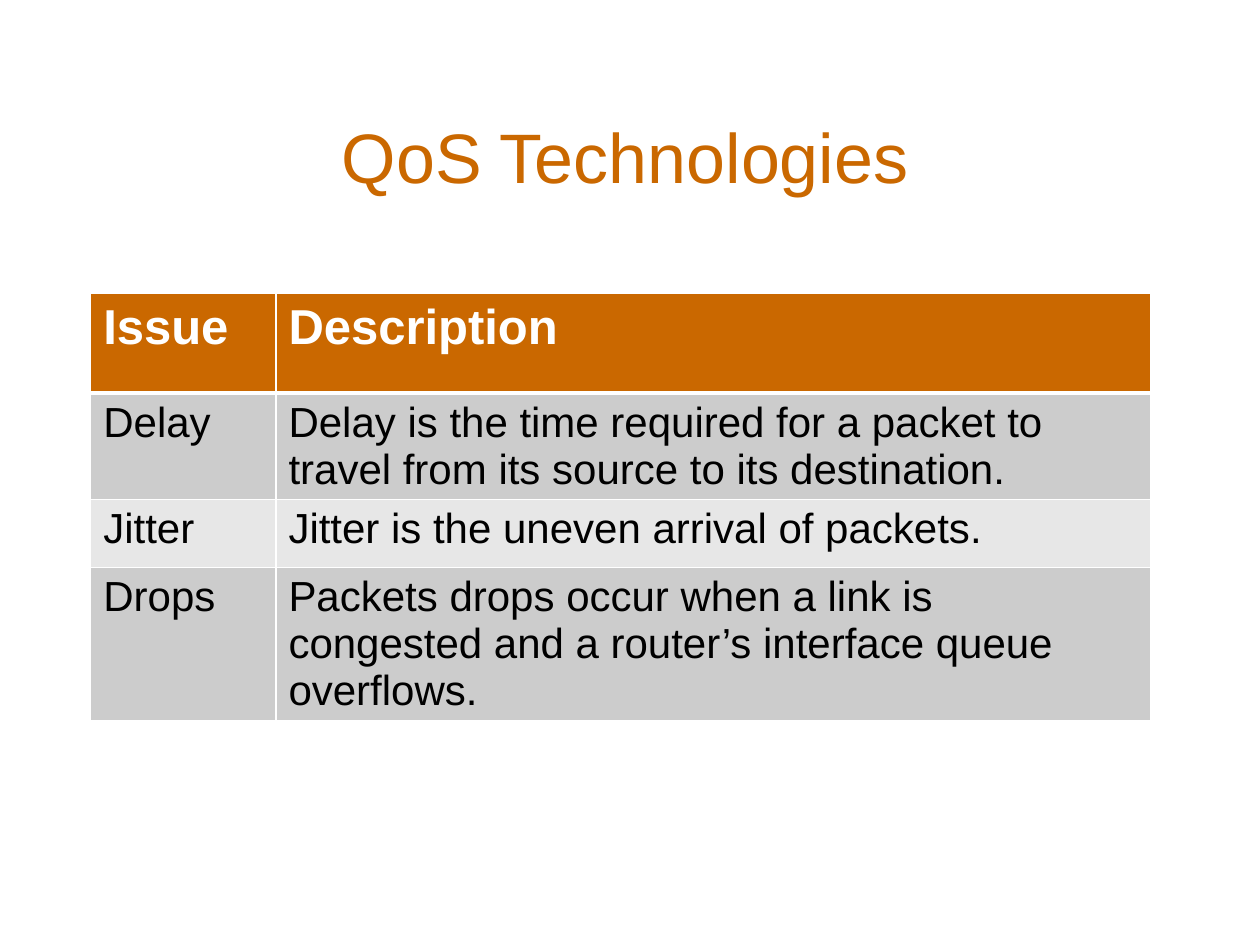
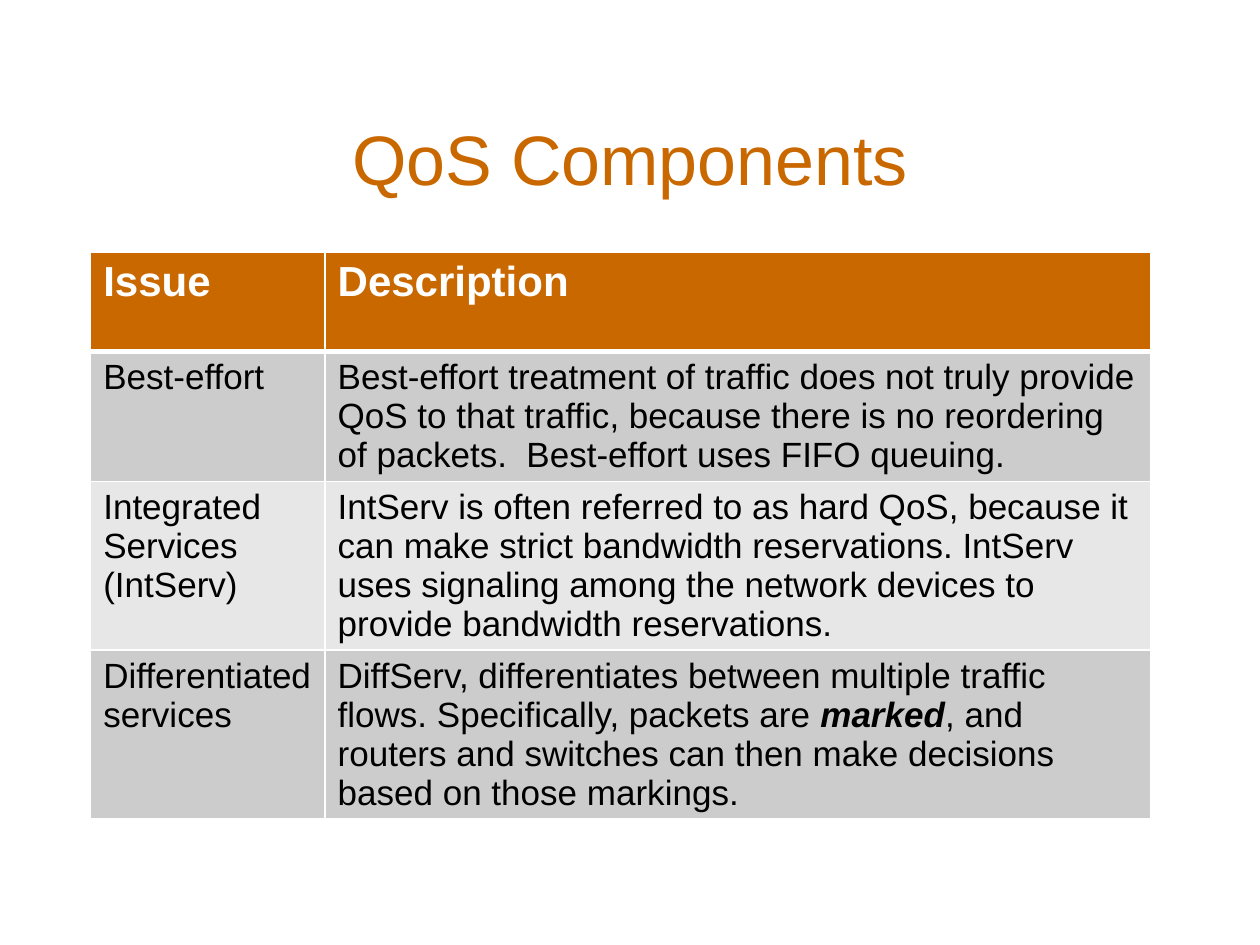
from lxml.etree import SubElement
from pptx import Presentation
from pptx.dml.color import RGBColor
from pptx.enum.text import MSO_ANCHOR, PP_ALIGN
from pptx.oxml.ns import qn
from pptx.util import Inches, Pt

COLORS = {
    "accent": "CA6800",
    "odd": "CCCCCC",
    "even": "E7E7E7",
    "text": "000000",
    "white": "FFFFFF",
}
FONT = "Arial"
TITLE_SIZE = 40
TABLE_LEFT = 0.72
ROW_HEIGHTS = (0.79, 0.81, 0.54, 1.17)
HEADER = ("Issue", "Description")
HEADER_EXTRA = 4  # points by which the header exceeds the body text

# A cell is a string, or a list of (text, emphasized) runs.
SLIDES = [
    {
        "title": "QoS Technologies",
        "title_box": (0.46, 0.92, 9, 0.63),
        "table_top": 2.33,
        "columns": (1.47, 6.94),
        "body_size": 24,
        "rows": [
            ("Delay", "Delay is the time required for a packet to travel from "
                      "its source to its destination."),
            ("Jitter", "Jitter is the uneven arrival of packets."),
            ("Drops", "Packets drops occur when a link is congested and a "
                      "router’s interface queue overflows."),
        ],
    },
    {
        "title": "QoS Components",
        "title_box": (0.5, 0.75, 9, 1),
        "table_top": 2,
        "columns": (1.86, 6.55),
        "body_size": 20,
        "rows": [
            ("Best-effort",
             "Best-effort treatment of traffic does not truly provide QoS to "
             "that traffic, because there is no reordering of packets.  "
             "Best-effort uses FIFO queuing."),
            ("Integrated Services (IntServ)",
             "IntServ is often referred to as hard QoS, because it can make "
             "strict bandwidth reservations. IntServ uses signaling among the "
             "network devices to provide bandwidth reservations."),
            ("Differentiated services",
             [("DiffServ, differentiates between multiple traffic flows. "
               "Specifically, packets are ", False),
              ("marked", True),
              (", and routers and switches can then make decisions based on "
               "those markings.", False)]),
        ],
    },
]


def rgb(name):
    return RGBColor.from_string(COLORS[name])


def style_font(font, size, color, bold=False):
    font.name = FONT
    font.size = Pt(size)
    font.bold = bold
    font.color.rgb = rgb(color)


def add_title(s, text, box):
    sp = s.shapes.title
    sp.left, sp.top, sp.width, sp.height = map(Inches, box)
    tf = sp.text_frame
    tf.text = text
    tf.vertical_anchor = MSO_ANCHOR.MIDDLE
    p = tf.paragraphs[0]
    p.alignment = PP_ALIGN.CENTER
    style_font(p.font, TITLE_SIZE, "accent")


def set_borders(cell, top=1, bottom=1):
    """Draw white cell borders; widths are in points."""
    tc_pr = cell._tc.get_or_add_tcPr()
    widths = {"lnL": 1, "lnR": 1, "lnT": top, "lnB": bottom}
    for i, (side, width) in enumerate(widths.items()):
        ln = SubElement(tc_pr, qn(f"a:{side}"), w=str(Pt(width)))
        fill = SubElement(ln, qn("a:solidFill"))
        SubElement(fill, qn("a:srgbClr"), val=COLORS["white"])
        tc_pr.insert(i, ln)  # borders come before the fill


def fill_cell(cell, content, row, body_size):
    is_header = row == 0
    fill = "accent" if is_header else "odd" if row % 2 else "even"
    cell.fill.solid()
    cell.fill.fore_color.rgb = rgb(fill)
    set_borders(cell, top=3 if row == 1 else 1, bottom=3 if is_header else 1)

    p = cell.text_frame.paragraphs[0]
    if is_header:
        style_font(p.font, body_size + HEADER_EXTRA, "white", bold=True)
    else:
        style_font(p.font, body_size, "text")
    runs = [(content, False)] if isinstance(content, str) else content
    for text, emphasized in runs:
        r = p.add_run()
        r.text = text
        if emphasized:
            r.font.bold = r.font.italic = True


def add_issue_table(s, top, columns, body_size, rows):
    rows = [HEADER, *rows]
    frame = s.shapes.add_table(
        len(rows), len(columns), Inches(TABLE_LEFT), Inches(top),
        Inches(sum(columns)), Inches(sum(ROW_HEIGHTS)))
    table = frame.table
    for column, width in zip(table.columns, columns):
        column.width = Inches(width)
    for i, (height, contents) in enumerate(zip(ROW_HEIGHTS, rows)):
        table.rows[i].height = Inches(height)
        for j, content in enumerate(contents):
            fill_cell(table.cell(i, j), content, i, body_size)


def main():
    prs = Presentation()
    prs.slide_width, prs.slide_height = Inches(10), Inches(7.5)
    title_only = prs.slide_layouts.get_by_name("Title Only")
    for item in SLIDES:
        s = prs.slides.add_slide(title_only)
        add_title(s, item["title"], item["title_box"])
        add_issue_table(s, item["table_top"], item["columns"],
                        item["body_size"], item["rows"])
    prs.save("out.pptx")


if __name__ == "__main__":
    main()
